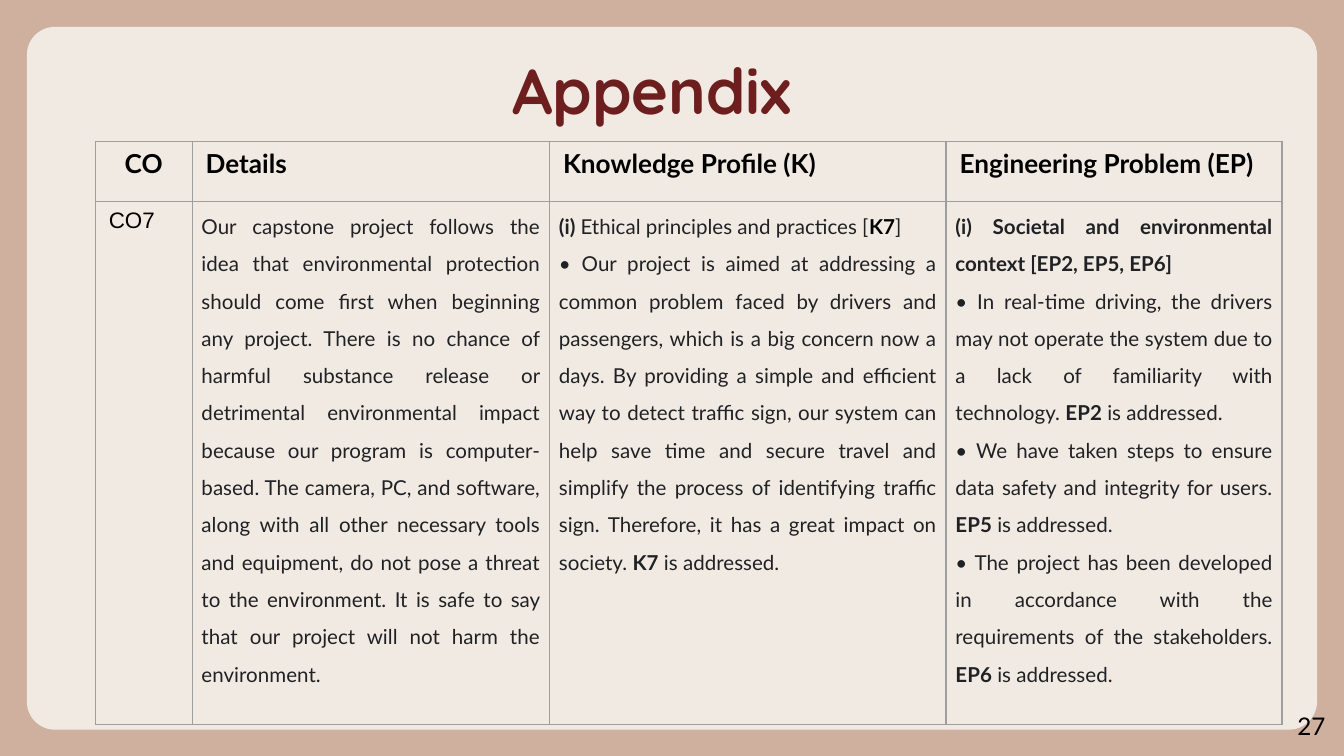
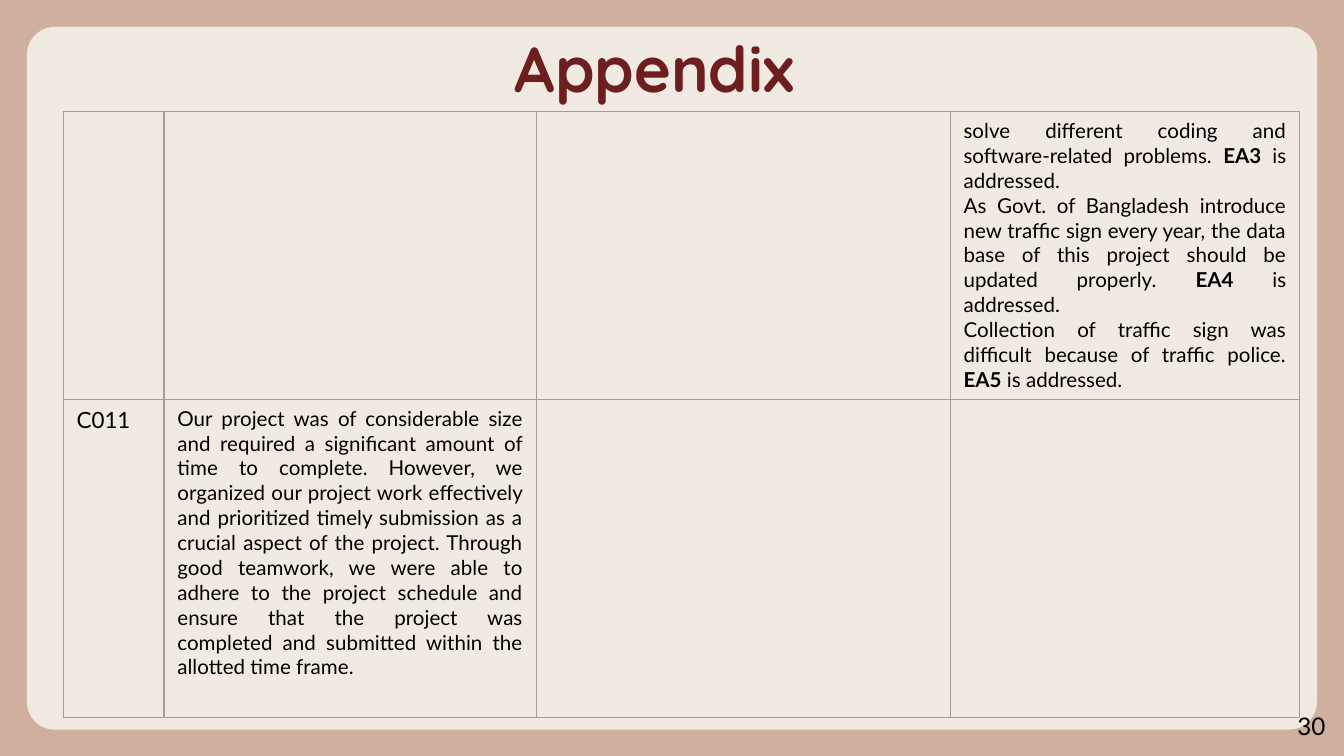
from dataclasses import dataclass

from pptx import Presentation
from pptx.dml.color import RGBColor
from pptx.enum.shapes import MSO_SHAPE as Shape
from pptx.enum.text import MSO_ANCHOR as Anchor, PP_ALIGN as Align
from pptx.oxml import parse_xml
from pptx.oxml.ns import nsdecls

PX = 9144  # 100 px to the inch


class Theme:
    background = RGBColor.from_string("CFAF9E")
    panel = RGBColor.from_string("F1EAE2")
    title = RGBColor.from_string("6D1E1E")
    black = RGBColor.from_string("000000")
    body = RGBColor.from_string("202124")
    border = "9E9E9E"
    border_width = 9525
    title_font, text_font, code_font = "Quicksand", "Lato", "Arial"
    title_size, head_size, number_size, code_size, body_size = 34, 14, 13, 12, 11


@dataclass
class Style:
    size: int
    color: RGBColor = Theme.black
    font: str = Theme.text_font
    align: Align = Align.LEFT
    spacing: float = 1.0
    margins: tuple = (10, 5)  # sides, top and bottom


TITLE = Style(Theme.title_size, Theme.title, Theme.title_font, Align.CENTER, margins=(10, 10))
NUMBER = Style(Theme.number_size, align=Align.RIGHT, margins=(10, 10))
HEAD = Style(Theme.head_size)
HEAD_CENTER = Style(Theme.head_size, align=Align.CENTER)
CODE = Style(Theme.code_size)
CODE_ARIAL = Style(Theme.code_size, font=Theme.code_font)
BODY = Style(Theme.body_size, align=Align.JUSTIFY)
BODY_OPEN = Style(Theme.body_size, Theme.body, align=Align.JUSTIFY, spacing=1.5, margins=(7, 0))


def write(text_frame, text, style):
    """One paragraph a line; ** switches bold on and off."""
    for index, line in enumerate(text.split("\n")):
        paragraph = text_frame.paragraphs[0] if index == 0 else text_frame.add_paragraph()
        paragraph.alignment = style.align
        paragraph.line_spacing = style.spacing
        for part, words in enumerate(line.split("**")):
            if words:
                run = paragraph.add_run()
                run.text = words
                run.font.name = style.font
                run.font.size = style.size * 12700
                run.font.bold = part % 2 == 1
                run.font.color.rgb = style.color


def add_text(slide, box, text, style, anchor):
    text_frame = slide.shapes.add_textbox(*(value * PX for value in box)).text_frame
    text_frame.word_wrap = True
    text_frame.vertical_anchor = anchor
    text_frame.margin_left = text_frame.margin_right = style.margins[0] * PX
    text_frame.margin_top = text_frame.margin_bottom = style.margins[1] * PX
    write(text_frame, text, style)


# Slide contents: each cell is a text and its style, or None
SLIDES = [
    {
        "number": "27",
        "title_at": (284, 35),
        "table_at": (71, 105),
        "columns": [72, 266, 295, 250],
        "rows": [45, 389],
        "cells": [
            [
                ("**CO**", HEAD_CENTER),
                ("**Details**", HEAD),
                ("**Knowledge Profile (K)**", HEAD),
                ("**Engineering Problem (EP)**", HEAD),
            ],
            [
                ("CO7", CODE_ARIAL),
                ("Our capstone project follows the idea that environmental protection should come "
                 "first when beginning any project. There is no chance of harmful substance release "
                 "or detrimental environmental impact because our program is computer-based. The "
                 "camera, PC, and software, along with all other necessary tools and equipment, do "
                 "not pose a threat to the environment. It is safe to say that our project will not "
                 "harm the environment.", BODY_OPEN),
                ("**(i) **Ethical principles and practices [**K7**]\n"
                 "• Our project is aimed at addressing a common problem faced by drivers and "
                 "passengers, which is a big concern now a days. By providing a simple and efficient "
                 "way to detect traffic sign, our system can help save time and secure travel and "
                 "simplify the process of identifying traffic sign. Therefore, it has a great impact "
                 "on society. **K7** is addressed.", BODY_OPEN),
                ("**(i) Societal and environmental context [EP2, EP5, EP6]**\n"
                 "• In real-time driving, the drivers may not operate the system due to a lack of "
                 "familiarity with technology. **EP2** is addressed.\n"
                 "• We have taken steps to ensure data safety and integrity for users. "
                 "**EP5** is addressed.\n"
                 "• The project has been developed in accordance with the requirements of the "
                 "stakeholders. **EP6** is addressed.", BODY_OPEN),
            ],
        ],
    },
    {
        "number": "30",
        "title_at": (286, 18),
        "table_at": (47, 83),
        "columns": [75, 277, 308, 260],
        "rows": [214, 237],
        "cells": [
            [
                None, None, None,
                ("solve different coding and software-related problems. **EA3** is addressed.\n"
                 "As Govt. of Bangladesh introduce new traffic sign every year, the data base of this "
                 "project should be updated properly. **EA4** is addressed.\n"
                 "Collection of traffic sign was difficult because of traffic police. "
                 "**EA5** is addressed.", BODY),
            ],
            [
                ("C011", CODE),
                ("Our project was of considerable size and required a significant amount of time to "
                 "complete. However, we organized our project work effectively and prioritized timely "
                 "submission as a crucial aspect of the project. Through good teamwork, we were able "
                 "to adhere to the project schedule and ensure that the project was completed and "
                 "submitted within the allotted time frame.", BODY),
                None, None,
            ],
        ],
    },
]

presentation = Presentation()
presentation.slide_width = 1000 * PX
presentation.slide_height = presentation.slide_width * 9 // 16
blank_layout = presentation.slide_layouts[6]

for content in SLIDES:
    slide = presentation.slides.add_slide(blank_layout)

    # Background and rounded panel
    slide.background.fill.solid()
    slide.background.fill.fore_color.rgb = Theme.background
    panel = slide.shapes.add_shape(Shape.ROUNDED_RECTANGLE, 20 * PX, 20 * PX, 960 * PX, 523 * PX)
    panel.adjustments[0] = 0.04
    panel.shadow.inherit = False
    panel.fill.solid()
    panel.fill.fore_color.rgb = Theme.panel
    panel.line.fill.background()

    # Title
    add_text(slide, (*content["title_at"], 402, 70), "**Appendix**", TITLE, Anchor.BOTTOM)

    # Table
    columns, rows = content["columns"], content["rows"]
    left, top = content["table_at"]
    table = slide.shapes.add_table(len(rows), len(columns), left * PX, top * PX,
                                   sum(columns) * PX, sum(rows) * PX).table
    table.first_row = table.horz_banding = False
    for column, width in zip(table.columns, columns):
        column.width = width * PX
    for row, height, entries in zip(table.rows, rows, content["cells"]):
        row.height = height * PX
        for cell, entry in zip(row.cells, entries):
            properties = cell._tc.get_or_add_tcPr()
            for side in ("lnL", "lnR", "lnT", "lnB"):
                properties.append(parse_xml(
                    f'<a:{side} {nsdecls("a")} w="{Theme.border_width}"><a:solidFill>'
                    f'<a:srgbClr val="{Theme.border}"/></a:solidFill></a:{side}>'))
            cell.fill.background()
            if entry:
                text, style = entry
                cell.margin_left = cell.margin_right = style.margins[0] * PX
                cell.margin_top = cell.margin_bottom = style.margins[1] * PX
                write(cell.text_frame, text, style)
                # The profile code in the heading line stands out in black
                for run in cell.text_frame.paragraphs[0].runs:
                    if run.text == "K7":
                        run.font.color.rgb = Theme.black

    # Slide number
    add_text(slide, (936, 519, 60, 43), content["number"], NUMBER, Anchor.TOP)

presentation.save("out.pptx")
